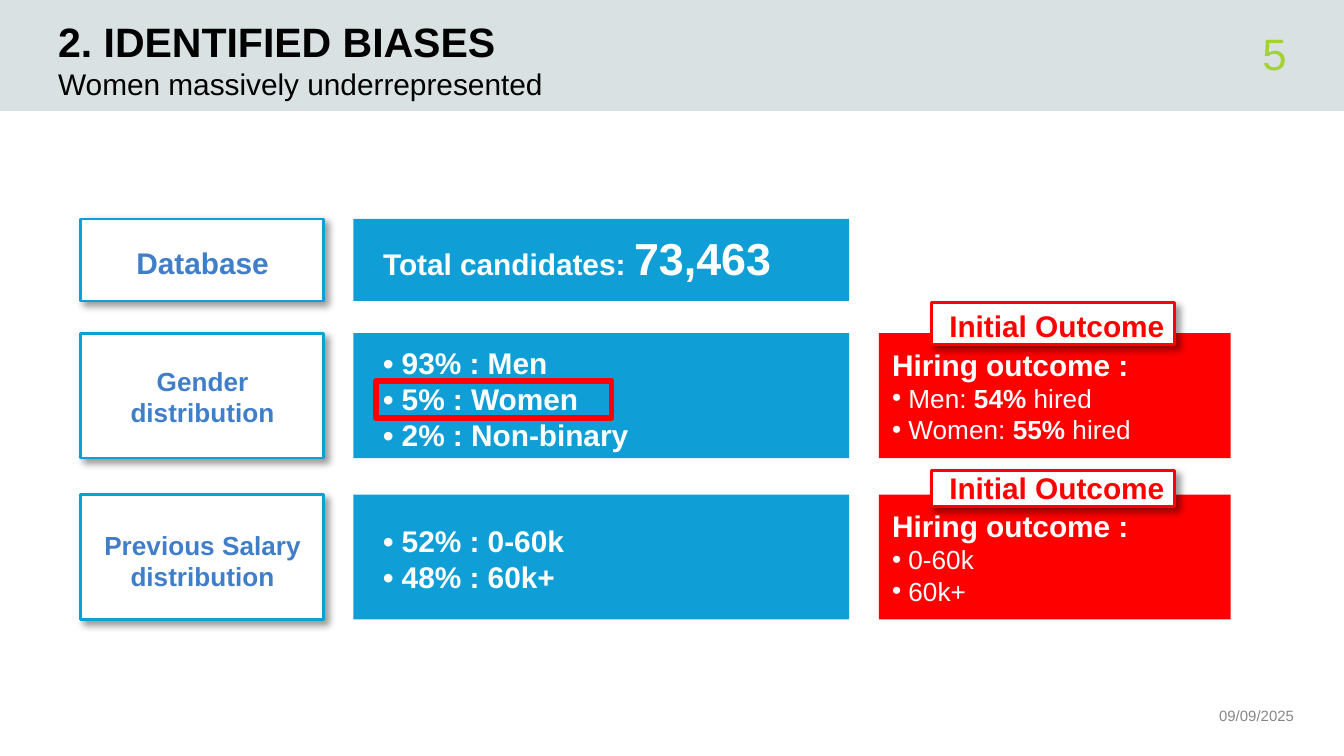
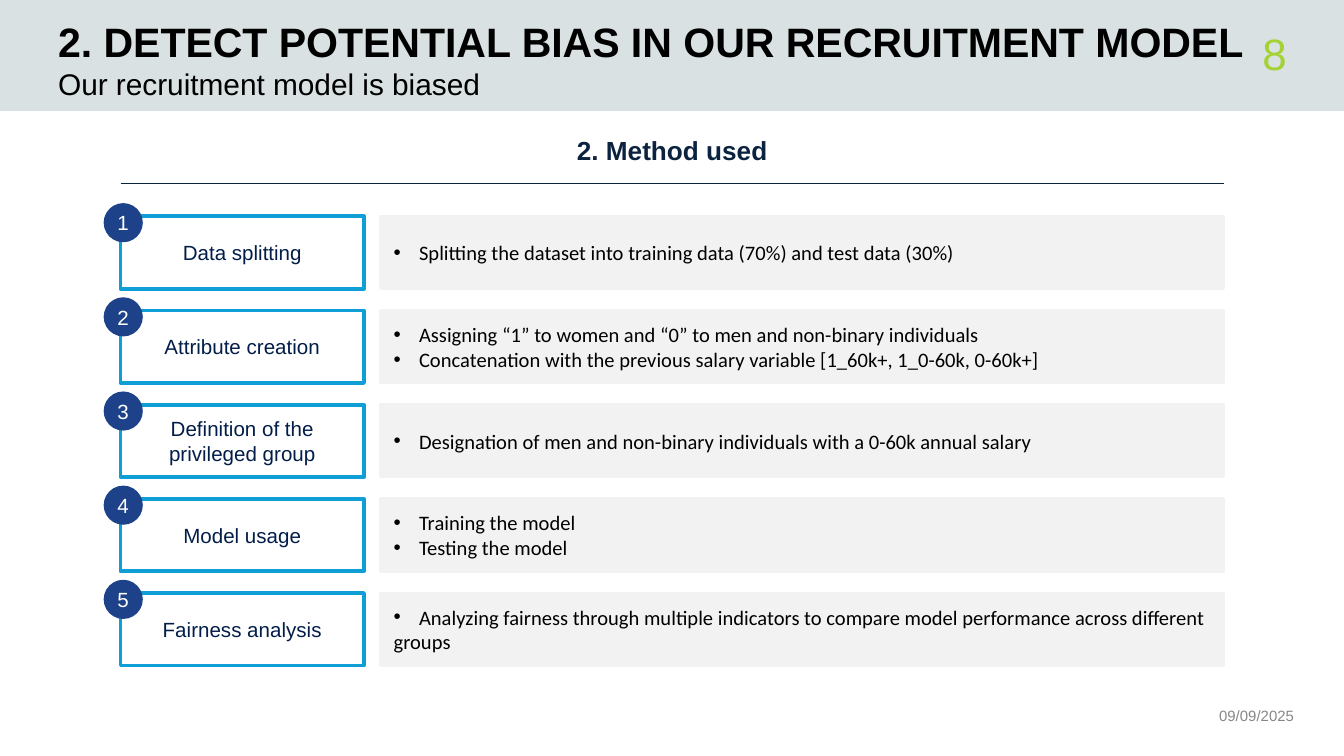
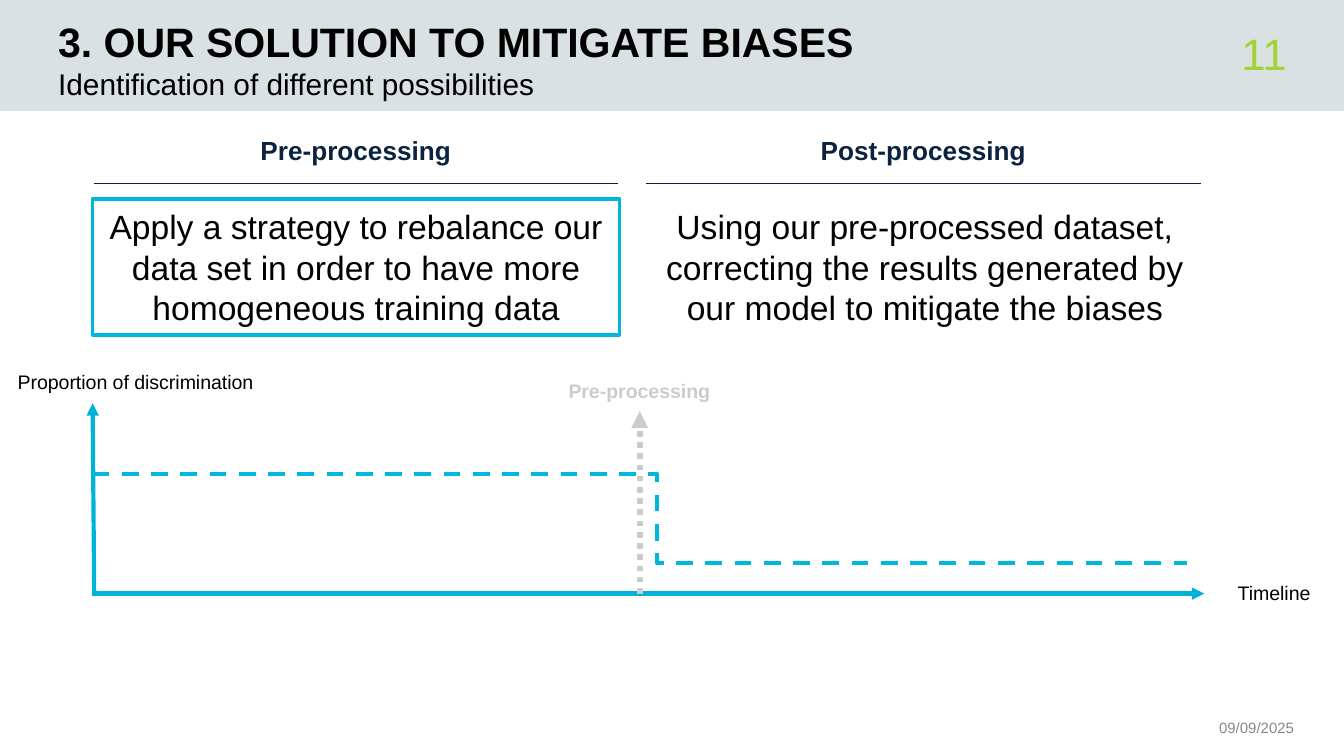
from dataclasses import dataclass

from lxml.etree import SubElement
from pptx import Presentation
from pptx.dml.color import RGBColor
from pptx.enum.dml import MSO_LINE
from pptx.enum.shapes import MSO_CONNECTOR, MSO_SHAPE
from pptx.enum.text import MSO_ANCHOR, PP_ALIGN
from pptx.oxml.ns import qn
from pptx.util import Cm, Pt


@dataclass(frozen=True)
class Theme:
    font: str = "Arial"
    alt: str = "Calibri"
    black: str = "000000"
    white: str = "FFFFFF"
    band: str = "D9E1E2"
    lime: str = "A4D233"
    grey: str = "878787"
    pale: str = "CCCCCC"
    panel: str = "F2F2F2"
    blue: str = "0F9ED5"
    label: str = "407EC9"
    red: str = "FF0000"
    navy: str = "0C2340"
    ink: str = "021D49"
    badge: str = "1D4289"
    cyan: str = "00B8DE"
    axis: str = "00B4D9"
    title: float = 22
    page: float = 23.5
    big: float = 24
    lead: float = 18
    sub: float = 16
    text: float = 14
    step: float = 11
    note: float = 10.5
    date: float = 8


T = Theme()
LEFT, MID, RIGHT = PP_ALIGN.LEFT, PP_ALIGN.CENTER, PP_ALIGN.RIGHT
TOP, CORE, LOW = MSO_ANCHOR.TOP, MSO_ANCHOR.MIDDLE, MSO_ANCHOR.BOTTOM


def box(slide, at, paras=(), fill=None, line=None, width=1.5, form=MSO_SHAPE.RECTANGLE,
        align=LEFT, anchor=TOP, inset=True, shade=False, font=T.font):
    spot = [Cm(n) for n in at]
    if fill or line:
        item = slide.shapes.add_shape(form, *spot)
        item.shadow.inherit = False
        if fill:
            item.fill.solid()
            item.fill.fore_color.rgb = RGBColor.from_string(fill)
        else:
            item.fill.background()
        if line:
            item.line.color.rgb = RGBColor.from_string(line)
            item.line.width = Pt(width)
        else:
            item.line.fill.background()
    else:
        item = slide.shapes.add_textbox(*spot)
    if shade:
        glow = SubElement(item._element.spPr.find(qn("a:effectLst")), qn("a:outerShdw"),
                          blurRad=str(Pt(4)), dist=str(Pt(3)), dir="2700000", algn="tl", rotWithShape="0")
        tint = SubElement(glow, qn("a:srgbClr"), val=T.black)
        SubElement(tint, qn("a:alpha"), val="40000")
    frame = item.text_frame
    frame.word_wrap = True
    frame.vertical_anchor = anchor
    if not inset:
        frame.margin_left = frame.margin_top = frame.margin_right = frame.margin_bottom = 0
    for i, (dent, runs) in enumerate(paras):
        para = frame.paragraphs[0] if i == 0 else frame.add_paragraph()
        para.alignment = align
        if dent is not None:
            prop = para._p.get_or_add_pPr()
            prop.set("marL", str(Cm(dent)))
            prop.set("indent", str(-Cm(dent)))
            SubElement(prop, qn("a:buFont"), typeface=T.font)
            SubElement(prop, qn("a:buChar"), char="•")
        for words, size, color, bold in runs:
            run = para.add_run()
            run.text = words
            run.font.name = font
            run.font.size = Pt(size)
            run.font.bold = bold
            run.font.color.rgb = RGBColor.from_string(color)


def rule(slide, ends, color, width, dash=None, arrow=False, bend=None):
    kind = MSO_CONNECTOR.ELBOW if bend else MSO_CONNECTOR.STRAIGHT
    item = slide.shapes.add_connector(kind, *[Cm(n) for n in ends])
    item.line.color.rgb = RGBColor.from_string(color)
    item.line.width = Pt(width)
    if dash:
        item.line.dash_style = dash
    prop = item._element.spPr
    if arrow:
        SubElement(prop.find(qn("a:ln")), qn("a:tailEnd"), type="triangle")
    if bend:
        SubElement(prop.find(qn("a:prstGeom")).find(qn("a:avLst")), qn("a:gd"),
                   name="adj1", fmla=f"val {bend}")
    SubElement(prop, qn("a:effectLst"))


deck = Presentation()
deck.slide_width, deck.slide_height = Cm(25.4), Cm(14.29)
pages = []
for title, sub, page, wide, foot in (
    ("2. IDENTIFIED BIASES", "Women massively underrepresented", "5", 20.09, 12.85),
    ("2. DETECT POTENTIAL BIAS IN OUR RECRUITMENT MODEL", "Our recruitment model is biased", "8", 23.62, 12.85),
    ("3. OUR SOLUTION TO MITIGATE BIASES", "Identification of different possibilities", "11", 20.09, 13.08),
):
    slide = deck.slides.add_slide(deck.slide_layouts[6])
    box(slide, (0, 0, 25.4, 2.1), fill=T.band)
    box(slide, (1.1, 0, wide, 1.24), [(None, [(title, T.title, T.black, True)])], anchor=LOW, inset=False)
    box(slide, (1.1, 1.24, 20.09, 0.76), [(None, [(sub, T.sub, T.black, False)])], inset=False)
    box(slide, (22.43, foot, 2.64, 0.84), [(None, [("09/09/2025", T.date, T.grey, False)])],
        align=MID, anchor=LOW, inset=False)
    box(slide, (21.2, 0.58, 3.12, 0.84), [(None, [(page, T.page, T.lime, False)])],
        align=RIGHT, anchor=CORE, inset=False)
    pages.append(slide)
bias, method, plan = pages

for top, high, name, size, wide, drop, facts, dip in (
    (4.14, 1.55, "Database", T.sub, 3.73, 0.36,
     [[("Total candidates: ", T.sub), ("73,463", T.big)]], 0.1),
    (6.3, 2.36, "Gender distribution", T.text, 3.73, 0.48,
     [[("• 93% : Men", T.sub)], [("• 5% : Women", T.sub)], [("• 2% : Non-binary", T.sub)]], 0.1),
    (9.35, 2.36, "Previous Salary distribution", T.text, 5.74, 0.53,
     [[("• 52% : 0-60k", T.sub)], [("• 48% : 60k+", T.sub)]], 0.4),
):
    box(bias, (1.52, top, 4.6, high), fill=T.white, line=T.blue, shade=True)
    box(bias, (3.83 - wide / 2, top + drop, wide, high - 2 * drop),
        [(None, [(name, size, T.label, True)])], align=MID)
    box(bias, (6.68, top, 9.37, high), fill=T.blue)
    box(bias, (6.99, top + dip, 9.37, high - 2 * dip),
        [(None, [(words, pt, T.white, True) for words, pt in runs]) for runs in facts])

for top, tag, high, text, facts in (
    (6.3, 5.72, 0.79, 5.69, [[(" Men: ", False), ("54%", True), (" hired", False)],
                             [(" Women: ", False), ("55%", True), (" hired", False)]]),
    (9.35, 8.89, 0.69, 8.76, [[(" 0-60k", False)], [(" 60k+", False)]]),
):
    paras = [(None, [("Hiring outcome :", T.sub, T.white, True)])]
    paras += [(0, [(words, T.text, T.white, bold) for words, bold in runs]) for runs in facts]
    box(bias, (16.61, top, 6.65, 2.36), paras, fill=T.red, anchor=CORE)
    box(bias, (17.6, tag, 4.6, high), fill=T.white, line=T.red, shade=True)
    box(bias, (16.94, text, 6.07, 0.94), [(None, [("Initial Outcome", T.sub, T.red, True)])], align=MID)
box(bias, (7.11, 7.2, 4.45, 0.7), line=T.red, width=3)

for slide, name, left, wide in (
    (method, "2. Method used", 2.28, 20.85),
    (plan, "Pre-processing", 1.77, 9.91),
    (plan, "Post-processing", 12.21, 10.48),
):
    box(slide, (left, 2.21, wide, 1.27), [(None, [(name, T.text, T.navy, True)])], align=MID, anchor=CORE)
    rule(slide, (left, 3.47, left + wide, 3.47), T.navy, 0.75)

for i, (name, facts) in enumerate((
    ("Data splitting", [(0.48, "Splitting the dataset into training data (70%) and test data (30%)")]),
    ("Attribute creation", [(0.48, "Assigning “1” to women and “0” to men and non-binary individuals"),
                            (0.48, "Concatenation with the previous salary variable [1_60k+, 1_0-60k, 0-60k+]")]),
    ("Definition of the privileged group",
     [(0.48, "Designation of men and non-binary individuals with a 0-60k annual salary")]),
    ("Model usage", [(0.48, "Training the model"), (0.48, "Testing the model")]),
    ("Fairness analysis",
     [(0.48, "Analyzing fairness through multiple indicators to compare model performance across different"),
      (None, "groups")]),
)):
    top = 4.09 + 1.78 * i
    box(method, (7.19, top, 15.93, 1.37),
        [(dent, [(words, T.step, T.black, False)]) for dent, words in facts],
        fill=T.panel, line=T.panel, anchor=CORE, font=T.alt)
    box(method, (2.28, top, 4.6, 1.37), [(None, [(name, T.step, T.ink, False)])],
        line=T.blue, width=2, align=MID, anchor=CORE)
    box(method, (1.96, top - 0.25, 0.74, 0.74), [(None, [(str(i + 1), T.step, T.white, False)])],
        fill=T.badge, form=MSO_SHAPE.OVAL, align=MID, anchor=CORE, inset=False)

for left, wide, edge, words in (
    (1.75, 9.96, T.cyan, "Apply a strategy to rebalance our data set in order to have more homogeneous training data"),
    (12.22, 10.52, None,
     "Using our pre-processed dataset, correcting the results generated by our model to mitigate the biases"),
):
    box(plan, (left, 3.76, wide, 2.57), [(None, [(words, T.lead, T.black, False)])],
        fill=T.white, line=edge, width=2, align=MID, anchor=CORE)

rule(plan, (1.73, 11.22, 22.76, 11.22), T.axis, 2.25, arrow=True)
rule(plan, (1.78, 11.22, 1.75, 7.62), T.axis, 2.25, arrow=True)
rule(plan, (1.75, 8.96, 22.43, 10.65), T.cyan, 2.25, dash=MSO_LINE.DASH, bend=51600)
for at, words, color, bold in (
    ((0, 6.86, 5.13, 0.71), "Proportion of discrimination", T.black, False),
    ((23.09, 10.86, 1.98, 0.71), "Timeline", T.black, False),
    ((9.86, 7.04, 4.45, 0.71), "Pre-processing", T.pale, True),
):
    box(plan, at, [(None, [(words, T.note, color, bold)])], fill=T.white, align=MID)
rule(plan, (12.09, 11.22, 12.09, 7.77), T.pale, 3, dash=MSO_LINE.ROUND_DOT, arrow=True)

deck.save("out.pptx")
